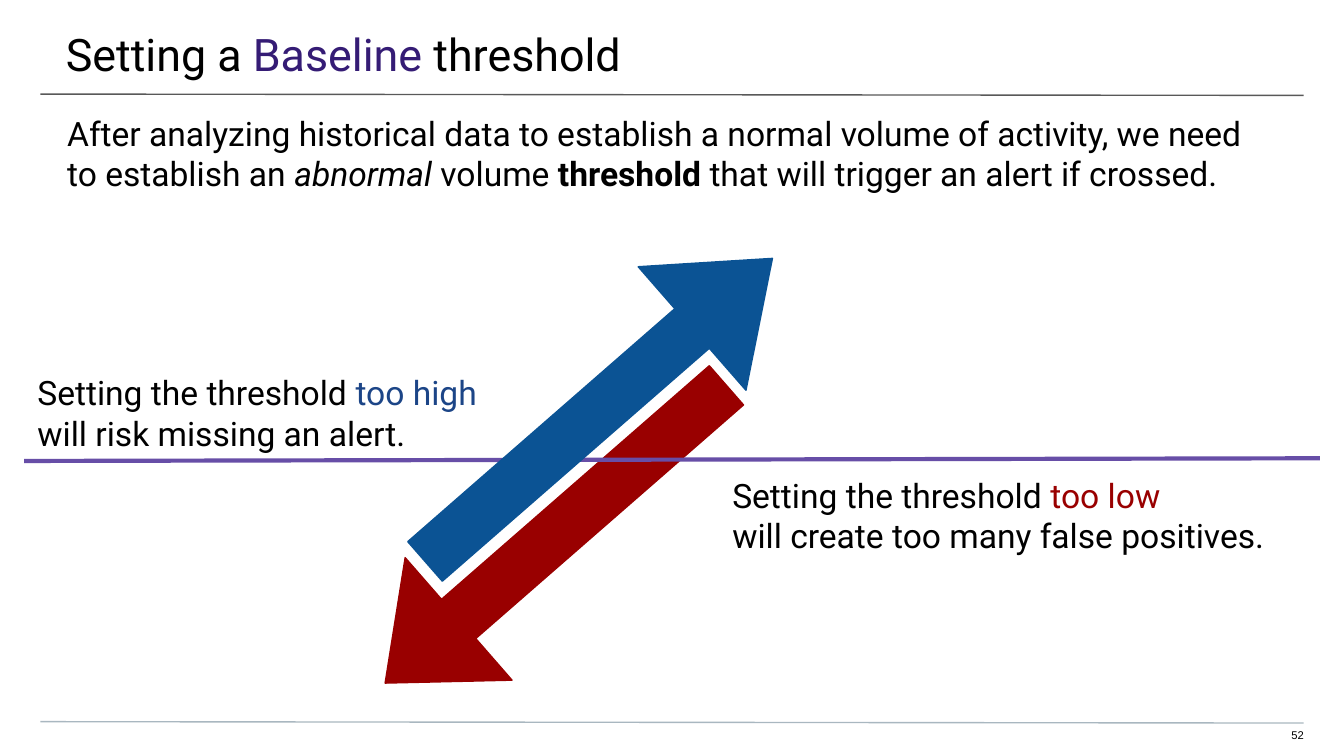
from lxml import etree
from pptx import Presentation
from pptx.dml.color import RGBColor
from pptx.enum.shapes import MSO_CONNECTOR, MSO_SHAPE
from pptx.enum.text import MSO_ANCHOR, PP_ALIGN
from pptx.oxml.ns import qn
from pptx.util import Inches, Pt

LINE = MSO_CONNECTOR.STRAIGHT
ARROW = MSO_SHAPE.RIGHT_ARROW
TOP = MSO_ANCHOR.TOP
LEFT, RIGHT = PP_ALIGN.LEFT, PP_ALIGN.RIGHT

COLORS = {
    "black": "000000",
    "indigo": "351C75",
    "purple": "674EA7",
    "navy": "1C4587",
    "blue": "0B5394",
    "red": "990000",
    "gray": "595959",
    "mist": "A9B7C0",
}
SIDES = ("left", "top", "right", "bottom")


def color(name):
    return RGBColor.from_string(COLORS[name])


def add_text(slide, box, pads, lines, size=18, face="Roboto", align=LEFT):
    frame = slide.shapes.add_textbox(*map(Inches, box)).text_frame
    frame.word_wrap = True
    frame.vertical_anchor = TOP
    for side, pad in zip(SIDES, pads):
        setattr(frame, f"margin_{side}", Inches(pad))
    for i, line in enumerate(lines):
        para = frame.paragraphs[0] if i == 0 else frame.add_paragraph()
        para.alignment = align
        for text, style in line:
            run = para.add_run()
            run.text = text
            look = {"name": face, "size": Pt(size), **style}
            run.font.color.rgb = color(look.pop("color", "black"))
            for key, value in look.items():
                setattr(run.font, key, value)


def add_rule(slide, start, end, tone, width=0.75):
    rule = slide.shapes.add_connector(LINE, *map(Inches, start + end))
    rule.line.color.rgb = color(tone)
    rule.line.width = Pt(width)
    etree.SubElement(rule._element.spPr, qn("a:effectLst"))


def add_arrow(slide, box, turn, shape, tone):
    arrow = slide.shapes.add_shape(ARROW, *map(Inches, box))
    arrow.rotation = turn
    arrow.shadow.inherit = False
    for i, value in enumerate(shape):
        arrow.adjustments[i] = value
    arrow.fill.solid()
    arrow.fill.fore_color.rgb = color(tone)
    arrow.line.color.rgb = color(tone)
    arrow.line.width = Pt(0.75)


def add_head(slide, box):
    x, y, w, h = box
    add_rule(slide, (x + 0.3, y + 0.7), (x + w - 0.3, y + 0.71), "gray")
    add_text(slide, (x - 0.01, y, w + 0.03, 0.58), (0.5, 0.2, 0.3, 0.1), [[
        ("Setting a ", {}),
        ("Baseline", {"color": "indigo"}),
        (" threshold", {}),
    ]], size=24)
    add_text(slide, (x, y + 0.74, w, h - 0.74), (0.5, 0.1, 0.5, 0), [[
        ("After analyzing historical data to establish a normal volume of "
         "activity, we need to establish an ", {}),
        ("abnormal ", {"italic": True}),
        ("volume ", {}),
        ("threshold", {"bold": True}),
        (" that will trigger an alert if crossed.", {}),
    ]])


def add_scale(slide, box):
    x, y, w, h = box
    mid = y + h / 2
    pads = (0.1,) * 4
    add_arrow(slide, (x + 2.27, mid - 0.05, 3.37, 1.21), 138.9,
              (0.32, 0.6), "red")
    notes = (
        ((x, mid - 0.75, 3.9, 0.76), "too high", "navy",
         "will risk missing an alert."),
        ((x + 5.17, mid + 0.01, 4.35, 1.08), "too low", "red",
         "will create too many false positives."),
    )
    for spot, level, tone, risk in notes:
        add_text(slide, spot, pads, [
            [("Setting the threshold ", {}), (level, {"color": tone})],
            [(risk, {})],
        ])
    add_rule(slide, (x, mid + 0.01), (x + w, mid - 0.01), "purple", 2.25)
    add_arrow(slide, (x + 2.56, mid - 0.98, 3.43, 1.22), 318.9,
              (0.32, 0.65), "blue")


def add_foot(slide, box):
    x, y, w, h = box
    add_rule(slide, (x, y), (x + w, y + 0.01), "mist")
    add_text(slide, (x + w - 0.29, y + 0.05, 0.29, h), (0, 0, 0, 0.1),
             [[("52", {})]], size=6, face="Arial", align=RIGHT)


def main():
    deck = Presentation()
    deck.slide_width = Inches(10)
    deck.slide_height = deck.slide_width * 9 // 16
    slide = deck.slides.add_slide(deck.slide_layouts[6])
    add_head(slide, (0, 0, 10, 1.14))
    add_scale(slide, (0.18, 1.9, 9.64, 3.04))
    add_foot(slide, (0.3, 5.37, 9.4, 0.12))
    deck.save("out.pptx")


if __name__ == "__main__":
    main()
